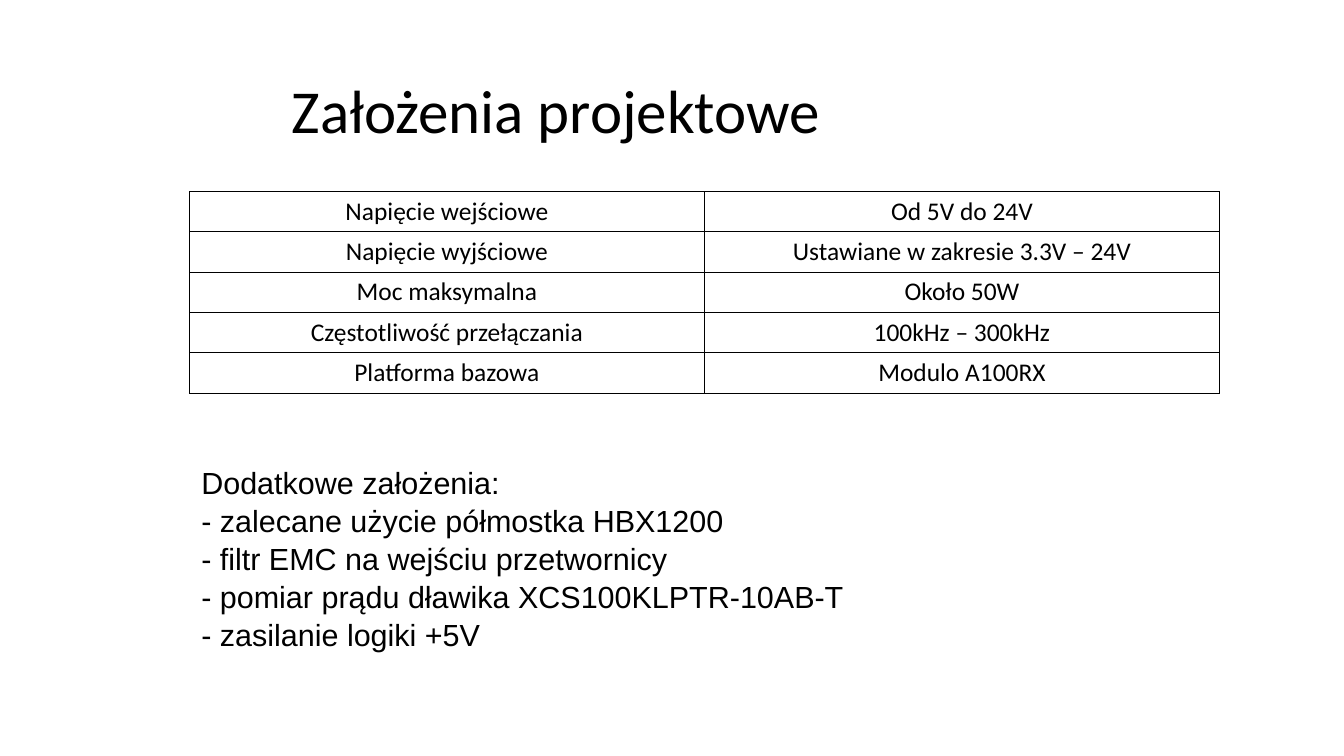
from lxml.etree import SubElement
from pptx import Presentation
from pptx.dml.color import RGBColor
from pptx.enum.text import MSO_ANCHOR, MSO_AUTO_SIZE, PP_ALIGN
from pptx.oxml.ns import qn
from pptx.util import Inches, Pt

WIDTH, HEIGHT = 14.69, 8.26
INK = "000000"

TITLE = "Założenia projektowe"
PARAMETERS = [
    ("Napięcie wejściowe", "Od 5V do 24V"),
    ("Napięcie wyjściowe", "Ustawiane w zakresie 3.3V – 24V"),
    ("Moc maksymalna", "Około 50W"),
    ("Częstotliwość przełączania", "100kHz – 300kHz"),
    ("Platforma bazowa", "Modulo A100RX"),
]
ASSUMPTIONS = [
    "Dodatkowe założenia:",
    "- zalecane użycie półmostka HBX1200",
    "- filtr EMC na wejściu przetwornicy",
    "- pomiar prądu dławika XCS100KLPTR-10AB-T",
    "- zasilanie logiki +5V",
]


def color(value):
    return RGBColor.from_string(value)


def place(sp, box):
    sp.left, sp.top, sp.width, sp.height = (Inches(v) for v in box)


def add_run(p, text, font, size):
    r = p.add_run()
    r.text = text
    r.font.name, r.font.size = font, Pt(size)
    r.font.color.rgb = color(INK)


def add_title(slide, box):
    sp = slide.shapes.title
    place(sp, box)
    tf = sp.text_frame
    tf.auto_size = MSO_AUTO_SIZE.NONE
    tf.vertical_anchor = MSO_ANCHOR.MIDDLE
    p = tf.paragraphs[0]
    p.alignment, p.line_spacing = PP_ALIGN.LEFT, 0.9
    add_run(p, TITLE, "Calibri", 48)


def add_border(cell, width):
    tc_pr = cell._tc.get_or_add_tcPr()
    for side in ("a:lnL", "a:lnR", "a:lnT", "a:lnB"):
        ln = SubElement(tc_pr, qn(side), w=str(Pt(width)))
        fill = SubElement(ln, qn("a:solidFill"))
        SubElement(fill, qn("a:srgbClr"), val=INK)


def add_parameters(slide, box):
    rows, cols = len(PARAMETERS), len(PARAMETERS[0])
    table = slide.shapes.add_table(rows, cols, *(Inches(v) for v in box)).table
    table.first_row = table.horz_banding = False
    for row, texts in enumerate(PARAMETERS):
        for col, text in enumerate(texts):
            cell = table.cell(row, col)
            add_border(cell, 0.45)
            cell.fill.background()
            p = cell.text_frame.paragraphs[0]
            p.alignment = PP_ALIGN.CENTER
            add_run(p, text, "Calibri", 20)


def add_assumptions(slide, box):
    sp = slide.placeholders[1]
    place(sp, box)
    tf = sp.text_frame
    tf.word_wrap = True
    tf.auto_size = MSO_AUTO_SIZE.NONE
    tf.vertical_anchor = MSO_ANCHOR.TOP
    for i, text in enumerate(ASSUMPTIONS):
        p = tf.add_paragraph() if i else tf.paragraphs[0]
        p.alignment, p.line_spacing = PP_ALIGN.LEFT, 1.04
        p.space_before = p.space_after = Pt(0)
        # The dashes are typed, so the template's bullet and indent go
        p_pr = p._p.get_or_add_pPr()
        p_pr.set("marL", "0")
        p_pr.set("indent", "0")
        SubElement(p_pr, qn("a:buNone"))
        add_run(p, text, "Arial", 24)


def main():
    prs = Presentation()
    prs.slide_width, prs.slide_height = Inches(WIDTH), Inches(HEIGHT)
    slide = prs.slides.add_slide(prs.slide_layouts[1])
    slide.background.fill.solid()
    slide.background.fill.fore_color.rgb = color("FFFFFF")

    # Regions: left, top, width, height in inches
    add_title(slide, (3.09, 0.44, 10.59, 1.6))
    add_parameters(slide, (2.07, 2.09, 11.26, 2.17))
    add_assumptions(slide, (2.1, 5, 7.24, 2.1))
    prs.save("out.pptx")


if __name__ == "__main__":
    main()
